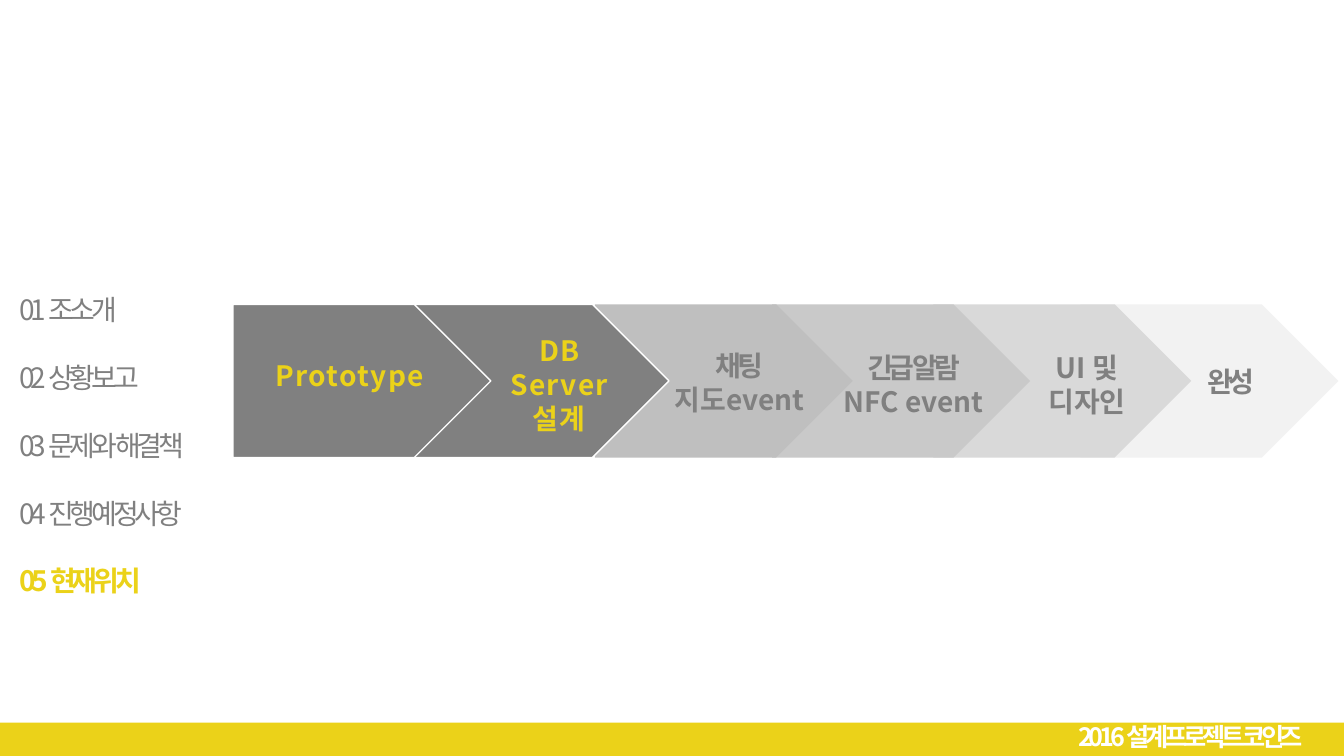
from dataclasses import dataclass

from lxml import etree
from pptx import Presentation
from pptx import util as u
from pptx.dml.color import RGBColor
from pptx.enum import shapes, text
from pptx.oxml import ns

FONT = "Noto Sans CJK KR"
YELLOW, GRAY, WHITE = "EBD219", "808080", "FFFFFF"
LINE_PITCH = 24.3
ARROW_TOP, ARROW_WIDTH, ARROW_HEIGHT = 7.67, 6.5, 3.86


@dataclass
class Line:
    words: str
    tracking: float = 0


@dataclass
class Step:
    arrow_left: float
    fill: str
    label_left: float
    label_top: float
    label_width: float
    lines: list[Line]
    color: str = GRAY
    outlined: bool = False


STEPS = [
    Step(5.87, GRAY, 5.38, 8.89, 6.86, [Line("Prototype", 1)], YELLOW, True),
    Step(10.36, GRAY, 9.22, 8.26, 9.75,
         [Line("DB", 1), Line("Server", 1), Line("설계", 1)], YELLOW, True),
    Step(14.99, "BFBFBF", 16.54, 8.64, 4.19, [Line("채팅", -3), Line("지도event")]),
    Step(19.46, "C9C9C9", 20.93, 8.69, 4.19, [Line("긴급 알람", -3), Line("NFC event")]),
    Step(23.52, "D9D9D9", 25.3, 8.69, 4.19, [Line("UI 및"), Line("디자인")]),
    Step(27.23, "F2F2F2", 29.24, 9.04, 3.56, [Line("완성", -3)]),
]
MENU = ["01 조소개", "02 상황보고", "03 문제와 해결책", "04 진행예정사항", "05 현재위치"]


def rgb(color: str) -> RGBColor:
    return RGBColor.from_string(color)


def place(shape, left: float, top: float, width: float, height: float) -> None:
    shape.left, shape.top = u.Cm(left), u.Cm(top)
    shape.width, shape.height = u.Cm(width), u.Cm(height)


def prepare_frame(frame, wrap: bool) -> None:
    frame.word_wrap = wrap
    frame.auto_size = text.MSO_AUTO_SIZE.NONE
    frame.vertical_anchor = text.MSO_ANCHOR.TOP


def write_lines(frame, lines: list[Line], color: str, align, size: float = 20,
                bold: bool = True, gap: float = 0, pitch: float = LINE_PITCH) -> None:
    for index, line in enumerate(lines):
        paragraph = frame.add_paragraph() if index else frame.paragraphs[0]
        paragraph.text = line.words
        paragraph.alignment = align
        paragraph.line_spacing = u.Pt(pitch)
        paragraph.space_before = u.Pt(gap if index else 0)
        font = paragraph.font
        font.name, font.size, font.bold = FONT, u.Pt(size), bold
        font.color.rgb = rgb(color)
        # East Asian face and letter spacing
        properties = paragraph._p.pPr.find(ns.qn("a:defRPr"))
        properties.set("spc", str(round(line.tracking * 100)))
        etree.SubElement(properties, ns.qn("a:ea"), typeface=FONT)


def add_block(slide, kind, left: float, top: float, width: float, height: float,
              fill: str, outlined: bool = False):
    block = slide.shapes.add_shape(kind, u.Cm(left), u.Cm(top), u.Cm(width), u.Cm(height))
    block.shadow.inherit = False
    block.fill.solid()
    block.fill.fore_color.rgb = rgb(fill)
    if outlined:
        block.line.color.rgb = rgb(WHITE)
        block.line.width = u.Pt(1)
    else:
        block.line.fill.background()
    return block


def add_label(slide, step: Step) -> None:
    height = 0.25 + 0.86 * len(step.lines)
    label = slide.shapes.add_textbox(u.Cm(step.label_left), u.Cm(step.label_top),
                                     u.Cm(step.label_width), u.Cm(height))
    prepare_frame(label.text_frame, True)
    write_lines(label.text_frame, step.lines, step.color, text.PP_ALIGN.CENTER)


def add_footer(slide) -> None:
    band = add_block(slide, shapes.MSO_SHAPE.RECTANGLE, 0, 18.21, 33.87, 0.84, YELLOW)
    title = slide.shapes.title
    title._element.addprevious(band._element)
    place(title, 26.92, 18.03, 6.6, 1.02)
    prepare_frame(title.text_frame, False)
    write_lines(title.text_frame, [Line("2016 설계프로젝트 코인즈", -3)], WHITE,
                text.PP_ALIGN.LEFT, size=18, pitch=21.8)


def add_menu(slide) -> None:
    menu = slide.placeholders[1]
    place(menu, 0.23, 7.24, 5, 9.65)
    prepare_frame(menu.text_frame, False)
    write_lines(menu.text_frame, [Line(item, -3) for item in MENU], GRAY,
                text.PP_ALIGN.LEFT, bold=False, gap=LINE_PITCH - 0.2)
    for paragraph in menu.text_frame.paragraphs:
        properties = paragraph._p.pPr
        properties.set("marL", "0")
        properties.set("indent", "0")
        properties.find(ns.qn("a:defRPr")).addprevious(etree.Element(ns.qn("a:buNone")))
    current = menu.text_frame.paragraphs[-1].font
    current.bold = True
    current.color.rgb = rgb(YELLOW)


def main() -> None:
    deck = Presentation()
    deck.slide_width, deck.slide_height = u.Cm(33.87), u.Cm(19.05)
    slide = deck.slides.add_slide(deck.slide_layouts[1])
    add_footer(slide)
    add_menu(slide)
    # Later steps lie beneath earlier ones
    for step in reversed(STEPS):
        add_block(slide, shapes.MSO_SHAPE.PENTAGON, step.arrow_left, ARROW_TOP,
                  ARROW_WIDTH, ARROW_HEIGHT, step.fill, step.outlined)
    for step in STEPS:
        add_label(slide, step)
    deck.save("out.pptx")


if __name__ == "__main__":
    main()
